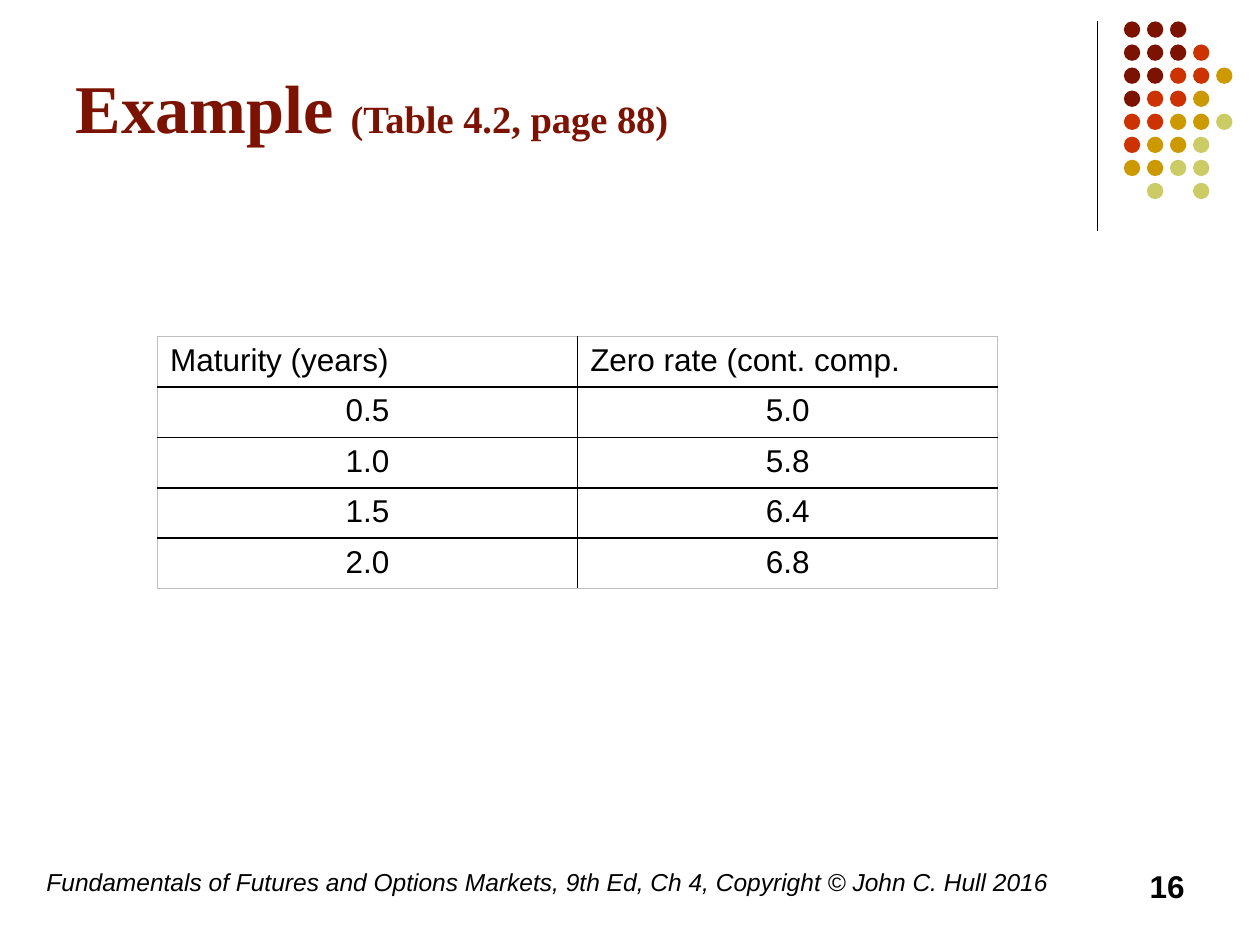
from lxml import etree
from pptx import Presentation
from pptx.dml.color import RGBColor
from pptx.enum.shapes import MSO_CONNECTOR, MSO_SHAPE
from pptx.enum.text import MSO_ANCHOR, PP_ALIGN
from pptx.oxml.ns import qn
from pptx.util import Inches, Pt

OVAL, STRAIGHT = MSO_SHAPE.OVAL, MSO_CONNECTOR.STRAIGHT
TOP, MIDDLE = MSO_ANCHOR.TOP, MSO_ANCHOR.MIDDLE
LEFT, CENTER, RIGHT = PP_ALIGN.LEFT, PP_ALIGN.CENTER, PP_ALIGN.RIGHT

BLACK, MAROON, GREY = "000000", "7C1302", "BFBFBF"
DOT_COLORS = {"m": MAROON, "r": "CC3300", "g": "CC9900", "o": "CCCC66"}
DOT_ROWS = ["mmm", "mmmr", "mmrrg", "mrrg", "rrggo", "rggo", "ggoo", "-o-o"]
DOT_LEFT, DOT_TOP, DOT_PITCH, DOT_SIZE = 8.92, 0.17, 0.183, 0.13

TITLE_BOX = (0.5, 0.13, 8.25, 1.42)
TITLE = [("Example ", 39), ("(Table 4.2, page 88)", 22)]

FOOTERS = [
    ("Fundamentals of Futures and Options Markets, 9th Ed, Ch 4, Copyright © John C. Hull 2016",
     (0.27, 6.83, 8.27, 0.5), LEFT, {"size": Pt(14), "italic": True}),
    ("16", (7.17, 6.83, 2.33, 0.5), RIGHT, {"size": Pt(18), "bold": True}),
]

RATES = [
    ("Maturity (years)", "Zero rate (cont. comp."),
    ("0.5", "5.0"),
    ("1.0", "5.8"),
    ("1.5", "6.4"),
    ("2.0", "6.8"),
]
RATES_LEFT, RATES_TOP, COLUMN_WIDTH, ROW_HEIGHT = 1.25, 2.67, 3.335, 0.38


def rgb(color):
    return RGBColor.from_string(color)


def inches(box):
    return [Inches(length) for length in box]


def set_font(font, color=BLACK, name="Arial", **formats):
    font.color.rgb = rgb(color)
    for attribute, value in {"name": name, "bold": False, **formats}.items():
        setattr(font, attribute, value)


def add_border(cell, side, color, width):
    line = etree.SubElement(cell._tc.get_or_add_tcPr(), qn(f"a:ln{side}"), w=str(Pt(width)))
    fill = etree.SubElement(line, qn("a:solidFill"))
    etree.SubElement(fill, qn("a:srgbClr"), val=color)


def add_ornament(slide):
    divider = slide.shapes.add_connector(STRAIGHT, *inches((8.71, 0.17, 8.71, 1.83)))
    divider.line.color.rgb = rgb(BLACK)
    divider.line.width = Pt(0.75)
    etree.SubElement(divider._element.spPr, qn("a:effectLst"))
    dots = slide.shapes.add_group_shape()
    for row, shades in enumerate(DOT_ROWS):
        for column, shade in enumerate(shades):
            if shade not in DOT_COLORS:
                continue
            place = (DOT_LEFT + column * DOT_PITCH, DOT_TOP + row * DOT_PITCH, DOT_SIZE, DOT_SIZE)
            dot = dots.shapes.add_shape(OVAL, *inches(place))
            dot.shadow.inherit = False
            dot.fill.solid()
            dot.fill.fore_color.rgb = rgb(DOT_COLORS[shade])
            dot.line.fill.background()


def add_title(slide):
    title = slide.shapes.title
    title.left, title.top, title.width, title.height = inches(TITLE_BOX)
    title.text_frame.vertical_anchor = MIDDLE
    heading = title.text_frame.paragraphs[0]
    heading.alignment = LEFT
    for words, size in TITLE:
        run = heading.add_run()
        run.text = words
        set_font(run.font, MAROON, "Times New Roman", size=Pt(size), bold=True)


def add_footers(slide):
    for words, box, alignment, formats in FOOTERS:
        frame = slide.shapes.add_textbox(*inches(box)).text_frame
        frame.word_wrap = True
        frame.vertical_anchor = TOP
        frame.text = words
        frame.paragraphs[0].alignment = alignment
        set_font(frame.paragraphs[0].runs[0].font, **formats)


def add_rates(slide):
    row_count, column_count = len(RATES), len(RATES[0])
    box = (RATES_LEFT, RATES_TOP, column_count * COLUMN_WIDTH, row_count * ROW_HEIGHT)
    rates = slide.shapes.add_table(row_count, column_count, *inches(box)).table
    rates.first_row = rates.horz_banding = False
    for row, values in enumerate(RATES):
        for column, value in enumerate(values):
            cell = rates.cell(row, column)
            cell.text = value
            paragraph = cell.text_frame.paragraphs[0]
            paragraph.alignment = CENTER if row else LEFT
            set_font(paragraph.runs[0].font, size=Pt(18))
            outer_sides = {
                "L": column == 0,
                "R": column == column_count - 1,
                "T": row == 0,
                "B": row == row_count - 1,
            }
            for side, outer in outer_sides.items():
                add_border(cell, side, GREY if outer else BLACK, 0.5 if outer else 1)
            cell.fill.background()


def main():
    deck = Presentation()
    deck.slide_width, deck.slide_height = inches((10, 7.5))
    slide = deck.slides.add_slide(deck.slide_layouts[5])
    add_ornament(slide)
    add_title(slide)
    add_footers(slide)
    add_rates(slide)
    deck.save("out.pptx")


if __name__ == "__main__":
    main()
